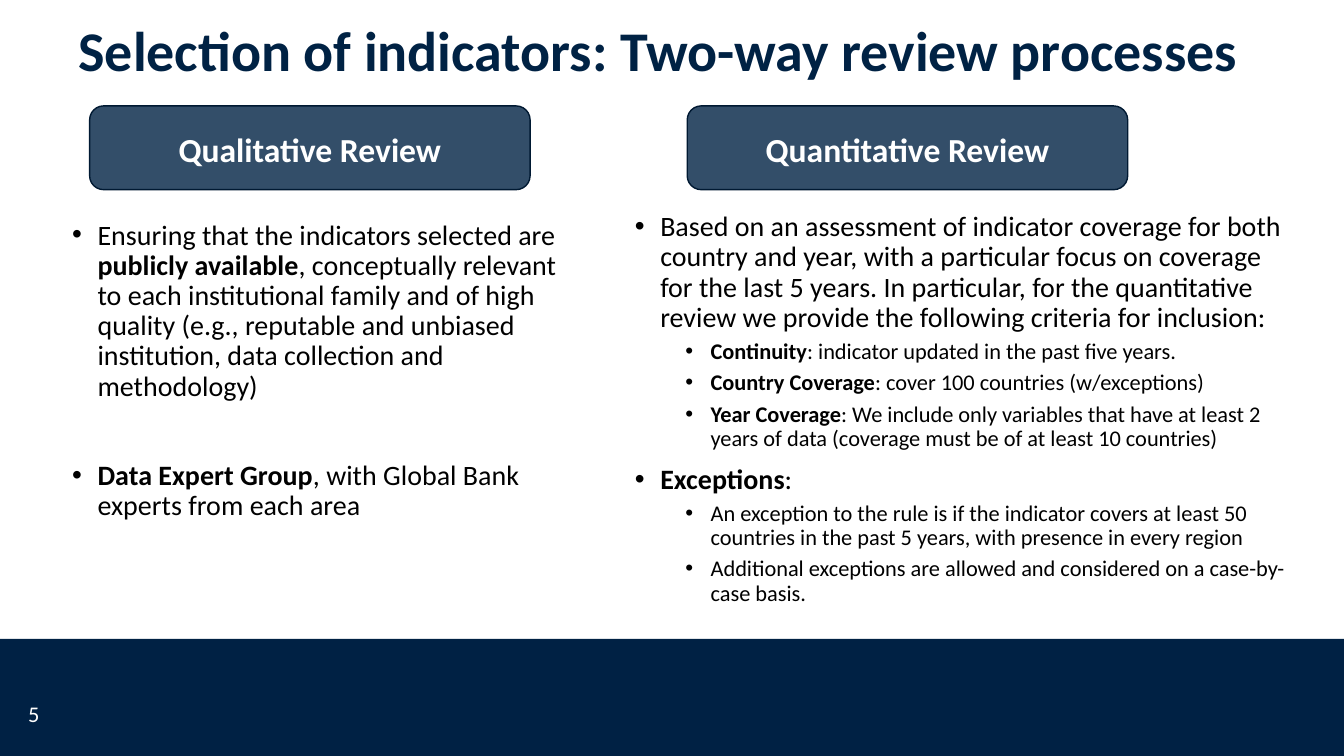
from pptx import Presentation
from pptx.dml.color import RGBColor
from pptx.enum.shapes import MSO_SHAPE
from pptx.enum.text import MSO_ANCHOR, PP_ALIGN
from pptx.oxml.ns import qn
from pptx.util import Cm, Pt
from lxml import etree

RECTANGLE = MSO_SHAPE.RECTANGLE
ROUNDED = MSO_SHAPE.ROUNDED_RECTANGLE
TOP, MIDDLE = MSO_ANCHOR.TOP, MSO_ANCHOR.MIDDLE
LEFT, CENTER = PP_ALIGN.LEFT, PP_ALIGN.CENTER

COLORS = {"band": "002144", "navy": "002244", "outline": "001932",
          "white": "FFFFFF", "black": "000000"}
LEVELS = [
    {"size": 20, "margin": 0.64, "before": 10},
    {"size": 16, "margin": 1.91, "before": 5},
]
HANGING = 0.64
BLANK_LINE_GAP = 42

QUALITATIVE = [
    (0, "Ensuring that the indicators selected are **publicly available**, conceptually "
        "relevant to each institutional family and of high quality (e.g., reputable and "
        "unbiased institution, data collection and methodology)", None),
    (0, "**Data Expert Group**, with Global Bank experts from each area", BLANK_LINE_GAP),
]
QUANTITATIVE = [
    (0, "Based on an assessment of indicator coverage for both country and year, with a "
        "particular focus on coverage for the last 5 years. In particular, for the "
        "quantitative review we provide the following criteria for inclusion:", None),
    (1, "**Continuity**: indicator updated in the past five years.", None),
    (1, "**Country Coverage**: cover 100 countries (w/exceptions)", None),
    (1, "**Year Coverage**: We include only variables that have at least 2 years of data "
        "(coverage must be of at least 10 countries)", None),
    (0, "**Exceptions**:", None),
    (1, "An exception to the rule is if the indicator covers at least 50 countries in the "
        "past 5 years, with presence in every region", None),
    (1, "Additional exceptions are allowed and considered on a case-by-case basis.", None),
]


class SlideBuilder:
    """Holds the text style and the current slide, and adds elements to it."""

    def __init__(self, page, font="Calibri"):
        self.page = page
        self.font = font

    def shape(self, kind, place, fill, line=None, opacity=None):
        box = self.page.shapes.add_shape(kind, *map(Cm, place))
        box.shadow.inherit = False
        box.fill.solid()
        box.fill.fore_color.rgb = RGBColor.from_string(COLORS[fill])
        if opacity is not None:
            color = box._element.spPr.find(qn("a:solidFill")).find(qn("a:srgbClr"))
            etree.SubElement(color, qn("a:alpha"), val=str(opacity * 1000))
        if line:
            box.line.color.rgb = RGBColor.from_string(COLORS[line])
            box.line.width = Pt(1)
        else:
            box.line.fill.background()
        return box

    def text_frame(self, place):
        frame = self.page.shapes.add_textbox(*map(Cm, place)).text_frame
        frame.word_wrap = True
        frame.vertical_anchor = TOP
        return frame

    def fill_para(self, para, text, size, color, bold=False, **layout):
        for name, value in layout.items():
            setattr(para, name, value)
        for index, part in enumerate(text.split("**")):
            if not part:
                continue
            span = para.add_run()
            span.text = part
            values = {"name": self.font, "size": Pt(size), "bold": bold or index % 2 == 1}
            for name, value in values.items():
                setattr(span.font, name, value)
            span.font.color.rgb = RGBColor.from_string(COLORS[color])

    def label(self, place, text, size, color, bold=False, spacing=1.0):
        frame = self.text_frame(place)
        self.fill_para(frame.paragraphs[0], text, size, color, bold,
                       alignment=LEFT, line_spacing=spacing)

    def heading(self, place, text):
        box = self.shape(ROUNDED, place, "navy", "outline", 80)
        frame = box.text_frame
        frame.word_wrap = True
        frame.vertical_anchor = MIDDLE
        self.fill_para(frame.paragraphs[0], text, 24, "white", True,
                       alignment=CENTER, line_spacing=1.07, space_after=Pt(8))

    def bullets(self, place, items):
        frame = self.text_frame(place)
        for index, (level, text, gap) in enumerate(items):
            para = frame.add_paragraph() if index else frame.paragraphs[0]
            style = LEVELS[level]
            self.fill_para(para, text, style["size"], "black", level=level,
                           alignment=LEFT, line_spacing=0.9,
                           space_before=Pt(gap or style["before"]))
            properties = para._p.get_or_add_pPr()
            properties.set("marL", str(Cm(style["margin"])))
            properties.set("indent", str(-Cm(HANGING)))
            etree.SubElement(properties, qn("a:buFont"), typeface="Arial")
            etree.SubElement(properties, qn("a:buChar"), char="•")


def main():
    deck = Presentation()
    deck.slide_width, deck.slide_height = Cm(33.87), Cm(19.05)
    builder = SlideBuilder(deck.slides.add_slide(deck.slide_layouts[6]))

    builder.shape(RECTANGLE, (0, 16.1, 33.87, 2.95), "band")
    builder.label((1.73, 0.46, 30.28, 2.24),
                  "Selection of indicators: Two-way review processes",
                  40, "navy", True, 0.9)
    builder.label((0.46, 17.53, 1.65, 1.02), "5", 16, "white")

    builder.bullets((1.57, 5.44, 12.88, 5.05), QUALITATIVE)
    builder.bullets((15.75, 5.23, 17.07, 9.98), QUANTITATIVE)
    for left, title in ((2.26, "Qualitative Review"), (17.32, "Quantitative Review")):
        builder.heading((left, 2.67, 11.1, 2.11), title)

    deck.save("out.pptx")


if __name__ == "__main__":
    main()
